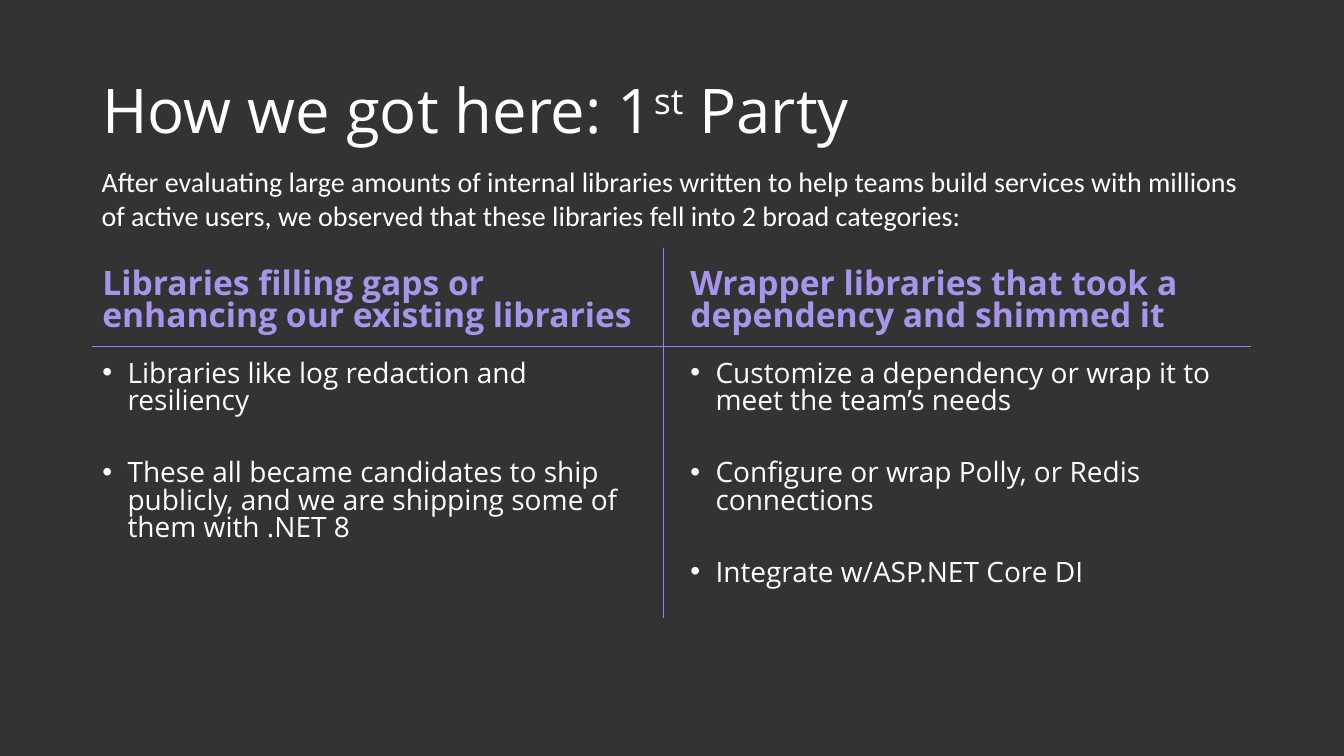
"""Build the slide that compares two categories of first-party libraries."""
from lxml.etree import SubElement
from pptx import Presentation
from pptx.dml.color import RGBColor
from pptx.enum.shapes import MSO_CONNECTOR
from pptx.enum.text import MSO_ANCHOR, MSO_AUTO_SIZE, PP_ALIGN
from pptx.oxml.ns import qn
from pptx.util import Pt

BACKGROUND = RGBColor(0x33, 0x33, 0x33)
WHITE = RGBColor(0xFF, 0xFF, 0xFF)
LAVENDER = RGBColor(0xA6, 0x95, 0xEA)
PURPLE = RGBColor(0x99, 0x7C, 0xF6)
TITLE_PARTS = [("How we got here: 1", 0), ("st", 30000), (" Party", 0)]
INTRODUCTION = (
    "After evaluating large amounts of internal libraries written to help teams build "
    "services with millions of active users, we observed that these libraries fell into "
    "2 broad categories:"
)
COLUMNS = [
    (66, 406, "Libraries filling gaps or enhancing our existing libraries", [
        "Libraries like log redaction and resiliency",
        "These all became candidates to ship publicly, and we are shipping some of "
        "them with .NET 8",
    ]),
    (486, 408, "Wrapper libraries that took a dependency and shimmed it", [
        "Customize a dependency or wrap it to meet the team’s needs",
        "Configure or wrap Polly, or Redis connections",
        "Integrate w/ASP.NET Core DI",
    ]),
]


def format_font(font, size, color=WHITE, name="Open Sans", bold=False):
    font.size, font.name, font.bold = Pt(size), name, bold
    font.color.rgb = color


def fill_title(title):
    title.left, title.top, title.width, title.height = Pt(66), Pt(29), Pt(828), Pt(104)
    frame = title.text_frame
    frame.auto_size = MSO_AUTO_SIZE.NONE
    frame.vertical_anchor = MSO_ANCHOR.MIDDLE
    paragraph = frame.paragraphs[0]
    paragraph.alignment = PP_ALIGN.LEFT
    paragraph.line_spacing = 0.9
    for text, baseline in TITLE_PARTS:
        run = paragraph.add_run()
        run.text = text
        format_font(run.font, 44)
        if baseline:
            run._r.get_or_add_rPr().set("baseline", str(baseline))


def add_text(slide, left, top, width, height, text, anchor=MSO_ANCHOR.TOP):
    box = slide.shapes.add_textbox(Pt(left), Pt(top), Pt(width), Pt(height))
    frame = box.text_frame
    frame.word_wrap = True
    frame.vertical_anchor = anchor
    frame.text = text
    return frame


def add_bullet(paragraph):
    properties = paragraph._p.get_or_add_pPr()
    properties.set("marL", str(Pt(18)))
    properties.set("indent", str(-Pt(18)))
    SubElement(properties, qn("a:buFont")).set("typeface", "Arial")
    SubElement(properties, qn("a:buChar")).set("char", "•")


def add_column(slide, left, width, heading, points):
    frame = add_text(slide, left, 177, width, 65, heading, MSO_ANCHOR.BOTTOM)
    paragraph = frame.paragraphs[0]
    paragraph.line_spacing = 0.8
    format_font(paragraph.runs[0].font, 24, LAVENDER, bold=True)

    frame = add_text(slide, left, 255, width, 238, "\n".join(points))
    for index, paragraph in enumerate(frame.paragraphs):
        add_bullet(paragraph)
        paragraph.line_spacing = 0.81
        paragraph.space_before = Pt(32 if index else 0)
        format_font(paragraph.runs[0].font, 20)


def add_rule(slide, start_x, start_y, end_x, end_y):
    rule = slide.shapes.add_connector(
        MSO_CONNECTOR.STRAIGHT, Pt(start_x), Pt(start_y), Pt(end_x), Pt(end_y))
    rule.line.color.rgb = PURPLE
    rule.line.width = Pt(0.5)
    SubElement(rule._element.spPr, qn("a:effectLst"))


def main():
    presentation = Presentation()
    presentation.slide_width, presentation.slide_height = Pt(960), Pt(540)
    slide = presentation.slides.add_slide(presentation.slide_layouts[5])
    slide.background.fill.solid()
    slide.background.fill.fore_color.rgb = BACKGROUND
    fill_title(slide.shapes.title)
    introduction = add_text(slide, 65.5, 114, 828, 55.5, INTRODUCTION)
    format_font(introduction.paragraphs[0].runs[0].font, 20, name="Calibri")
    for column in COLUMNS:
        add_column(slide, *column)
    add_rule(slide, 474, 177, 474, 441.5)
    add_rule(slide, 893.5, 247.5, 65.5, 247.5)
    presentation.save("out.pptx")


if __name__ == "__main__":
    main()
